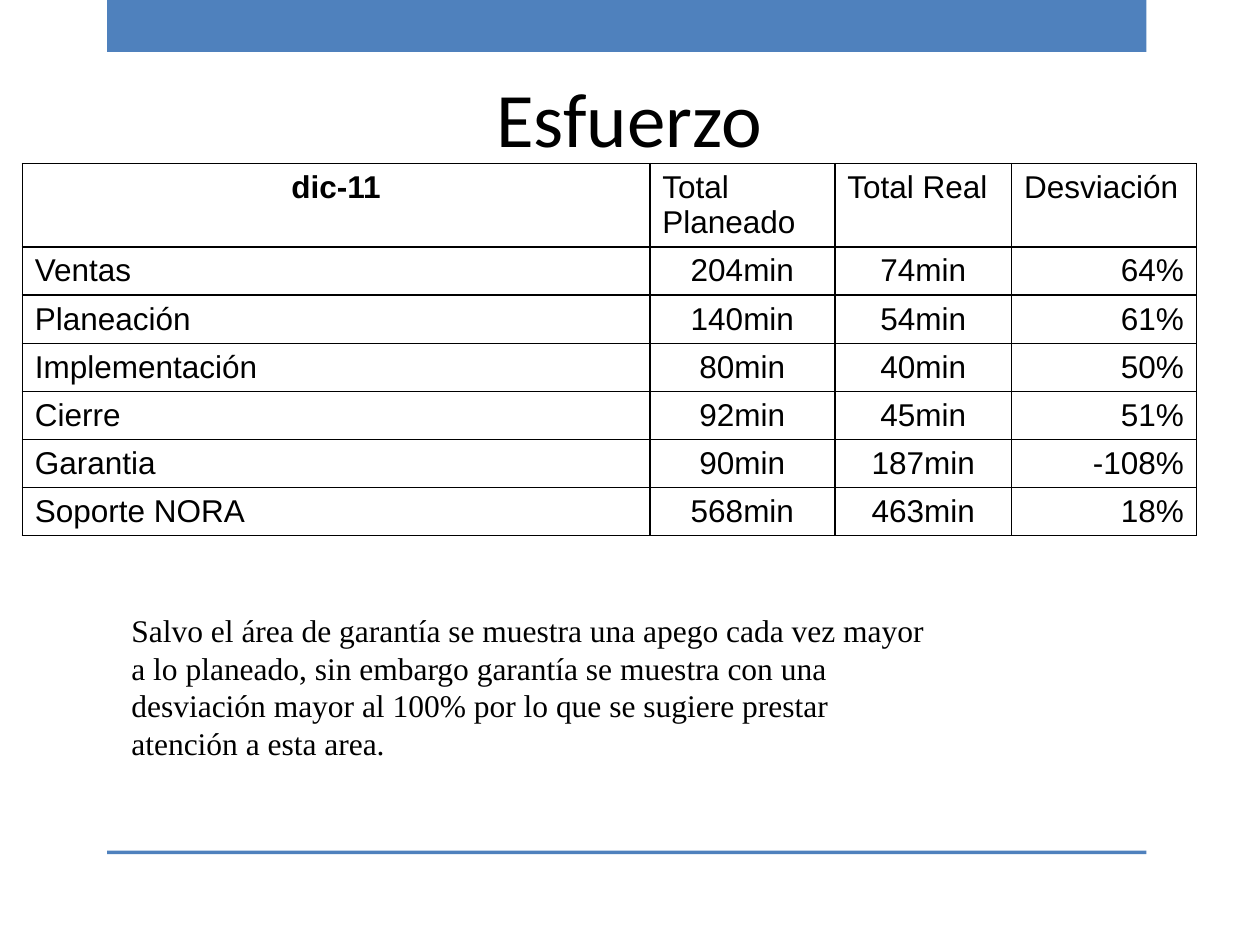
from dataclasses import dataclass

from lxml.etree import SubElement
from pptx import Presentation
from pptx.dml.color import RGBColor
from pptx.enum.shapes import MSO_SHAPE as Shape
from pptx.enum.text import MSO_ANCHOR as Anchor, PP_ALIGN as Align
from pptx.oxml.ns import qn
from pptx.util import Cm, Pt


@dataclass(frozen=True)
class Theme:
    accent: str = "4F81BD"
    paper: str = "FFFFFF"
    ink: str = "000000"
    title_font: str = "Calibri"
    table_font: str = "Arial"
    body_font: str = "Times New Roman"
    title_size: int = 44
    text_size: int = 18
    border: float = 1


@dataclass(frozen=True)
class Box:
    left: float
    top: float
    width: float
    height: float

    def lengths(self) -> tuple:
        return Cm(self.left), Cm(self.top), Cm(self.width), Cm(self.height)


@dataclass(frozen=True)
class Effort:
    area: str
    planned: int
    actual: int
    deviation: int

    def texts(self) -> tuple:
        return self.area, f"{self.planned}min", f"{self.actual}min", f"{self.deviation}%"


THEME = Theme()

# Content
BARS = [Box(2.16, 0, 20.95, 1.05), Box(2.16, 17.15, 20.95, 0.07)]
HEADERS = ("dic-11", "Total Planeado", "Total Real", "Desviación")
EFFORTS = [
    Effort("Ventas", 204, 74, 64),
    Effort("Planeación", 140, 54, 61),
    Effort("Implementación", 80, 40, 50),
    Effort("Cierre", 92, 45, 51),
    Effort("Garantia", 90, 187, -108),
    Effort("Soporte NORA", 568, 463, 18),
]
COMMENT = (
    "Salvo el área de garantía se muestra una apego cada vez mayor a lo planeado, "
    "sin embargo garantía se muestra con una desviación mayor al 100% por lo que "
    "se sugiere prestar atención a esta area."
)

# Table layout
COL_WIDTHS = (12.65, 3.73, 3.56, 3.73)
HEADER_HEIGHT, ROW_HEIGHT = 1.68, 0.97
HEADER_ALIGNS = (Align.CENTER, Align.LEFT, Align.LEFT, Align.LEFT)
ROW_ALIGNS = (Align.LEFT, Align.CENTER, Align.CENTER, Align.RIGHT)


def write(tf, text: str, font: str, size: int, align=Align.LEFT, bold=False) -> None:
    p = tf.paragraphs[0]
    p.alignment = align
    r = p.add_run()
    r.text = text
    for name, value in {"name": font, "size": Pt(size), "bold": bold}.items():
        setattr(r.font, name, value)
    r.font.color.rgb = RGBColor.from_string(THEME.ink)


def add_bar(s, box: Box) -> None:
    sp = s.shapes.add_shape(Shape.RECTANGLE, *box.lengths())
    sp.shadow.inherit = False
    sp.fill.solid()
    sp.fill.fore_color.rgb = RGBColor.from_string(THEME.accent)
    sp.line.fill.background()


def add_text(s, box: Box, text: str, font: str, size: int,
             align=Align.LEFT, anchor=Anchor.TOP) -> None:
    tf = s.shapes.add_textbox(*box.lengths()).text_frame
    tf.word_wrap = True
    tf.vertical_anchor = anchor
    write(tf, text, font, size, align)


def set_borders(cell) -> None:
    """Borders go ahead of the fill in the cell properties."""
    props = cell._tc.get_or_add_tcPr()
    for i, side in enumerate(("a:lnL", "a:lnR", "a:lnT", "a:lnB")):
        ln = SubElement(props, qn(side), w=str(Pt(THEME.border)))
        fill = SubElement(ln, qn("a:solidFill"))
        SubElement(fill, qn("a:srgbClr"), val=THEME.ink)
        props.insert(i, ln)


def add_effort_table(s, left: float, top: float) -> None:
    heights = [HEADER_HEIGHT] + [ROW_HEIGHT] * len(EFFORTS)
    box = Box(left, top, sum(COL_WIDTHS), sum(heights))
    table = s.shapes.add_table(len(heights), len(COL_WIDTHS), *box.lengths()).table
    for col, width in zip(table.columns, COL_WIDTHS):
        col.width = Cm(width)
    for row, height in zip(table.rows, heights):
        row.height = Cm(height)

    for i, texts in enumerate([HEADERS] + [e.texts() for e in EFFORTS]):
        aligns = ROW_ALIGNS if i else HEADER_ALIGNS
        for j, (text, align) in enumerate(zip(texts, aligns)):
            cell = table.cell(i, j)
            cell.margin_bottom = Cm(0)  # keeps the rows at their set height
            cell.fill.solid()
            cell.fill.fore_color.rgb = RGBColor.from_string(THEME.paper)
            set_borders(cell)
            write(cell.text_frame, text, THEME.table_font, THEME.text_size,
                  align, bold=(i == j == 0))


def main() -> None:
    prs = Presentation()
    prs.slide_width, prs.slide_height = Cm(25.4), Cm(19.05)
    s = prs.slides.add_slide(prs.slide_layouts[6])

    # Top band and bottom rule
    for bar in BARS:
        add_bar(s, bar)

    # Title and comment
    add_text(s, Box(1.27, 0.78, 22.83, 3.15), "Esfuerzo", THEME.title_font,
             THEME.title_size, Align.CENTER, Anchor.MIDDLE)
    add_text(s, Box(2.4, 12.19, 16.59, 4.83), COMMENT,
             THEME.body_font, THEME.text_size)

    # Planned against actual effort
    add_effort_table(s, 0.45, 3.3)

    prs.save("out.pptx")


if __name__ == "__main__":
    main()
